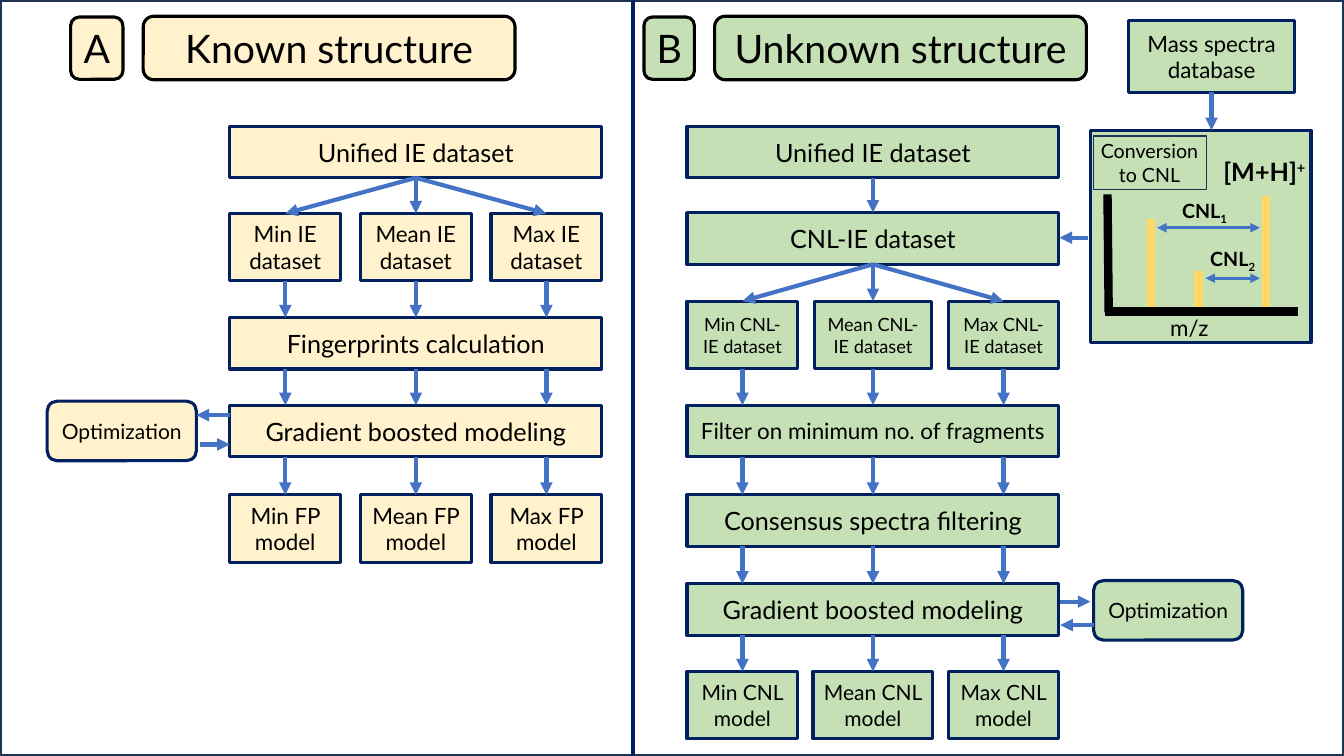
import pptx
import pptx.util
import pptx.dml.color
import pptx.enum.shapes
import pptx.enum.text
import pptx.oxml.ns
from lxml import etree

Cm, Pt = pptx.util.Cm, pptx.util.Pt
RGBColor = pptx.dml.color.RGBColor
RECTANGLE = pptx.enum.shapes.MSO_SHAPE.RECTANGLE
ROUNDED = pptx.enum.shapes.MSO_SHAPE.ROUNDED_RECTANGLE
STRAIGHT = pptx.enum.shapes.MSO_CONNECTOR.STRAIGHT
FONT = "Lato"
COLORS = {
    "white": "FFFFFF", "black": "000000", "navy": "002060", "frame": "1E3256",
    "cream": "FFF2CC", "green": "C5E0B4", "arrow": "4472C4", "peak": "FFD966",
}


def add_box(shapes, left, top, width, height, fill, text="", size=18,
            outline="navy", weight=2.25, kind=RECTANGLE):
    shape = shapes.add_shape(kind, Cm(left), Cm(top), Cm(width), Cm(height))
    shape.shadow.inherit = False
    if fill:
        shape.fill.solid()
        shape.fill.fore_color.rgb = RGBColor.from_string(COLORS[fill])
    else:
        shape.fill.background()
    shape.line.color.rgb = RGBColor.from_string(COLORS[outline])
    shape.line.width = Pt(weight)
    if text:
        frame = shape.text_frame
        frame.word_wrap = True
        frame.vertical_anchor = pptx.enum.text.MSO_ANCHOR.MIDDLE
        paragraph = frame.paragraphs[0]
        paragraph.text = text
        paragraph.alignment = pptx.enum.text.PP_ALIGN.CENTER
        paragraph.font.name = FONT
        paragraph.font.size = Pt(size)
        paragraph.font.color.rgb = RGBColor.from_string(COLORS["black"])


def add_line(shapes, x1, y1, x2, y2, color="arrow", weight=3, ends=("tailEnd",)):
    """Draw a line; ends names the arrowheads, headEnd before tailEnd."""
    line = shapes.add_connector(STRAIGHT, Cm(x1), Cm(y1), Cm(x2), Cm(y2))
    line.line.color.rgb = RGBColor.from_string(COLORS[color])
    line.line.width = Pt(weight)
    for end in ends:
        etree.SubElement(line.line._get_or_add_ln(), pptx.oxml.ns.qn("a:" + end), type="triangle")
    etree.SubElement(line._element.spPr, pptx.oxml.ns.qn("a:effectLst"))


presentation = pptx.Presentation()
presentation.slide_width = Cm(33.87)
presentation.slide_height = Cm(19.05)
slide = presentation.slides.add_slide(presentation.slide_layouts[6])
shapes = slide.shapes

add_box(shapes, 0, 0, 33.87, 19.05, "white", outline="frame", weight=3)
add_line(shapes, 15.95, 0, 15.95, 19.05, "navy", 3, ())

# Headings: left, top, width, height, fill, text
for left, top, width, height, fill, text in (
    (1.78, 0.43, 1.32, 1.57, "cream", "A"),
    (3.61, 0.41, 9.37, 1.6, "cream", "Known structure"),
    (16.23, 0.43, 1.27, 1.57, "green", "B"),
    (18.01, 0.41, 9.37, 1.6, "green", "Unknown structure"),
):
    add_box(shapes, left, top, width, height, fill, text, 28, "black", kind=ROUNDED)

# Flow rows: top, texts, font size, width of the middle box, arrows from the row above
WIDE, NARROW = 9.37, 2.79
WIDE_HEIGHT, NARROW_HEIGHT = 1.3, 1.7
PITCH = 3.29
ARROWS = {
    "none": (),
    "single": ((0, 0),),
    "fan": ((0, -1), (0, 0), (0, 1)),
    "parallel": ((-1, -1), (0, 0), (1, 1)),
}
FLOWS = (
    (10.48, "cream", (
        (3.18, ["Unified IE dataset"], 18, WIDE, "none"),
        (5.38, ["Min IE dataset", "Mean IE dataset", "Max IE dataset"], 16, NARROW, "fan"),
        (8, ["Fingerprints calculation"], 18, WIDE, "parallel"),
        (10.21, ["Gradient boosted modeling"], 18, WIDE, "parallel"),
        (12.47, ["Min FP model", "Mean FP model", "Max FP model"], 16, NARROW, "parallel"),
    )),
    (22, "green", (
        (3.18, ["Unified IE dataset"], 18, WIDE, "none"),
        (5.36, ["CNL-IE dataset"], 18, WIDE, "single"),
        (7.59, ["Min CNL-IE dataset", "Mean CNL-IE dataset", "Max CNL-IE dataset"],
         13, 2.95, "fan"),
        (10.21, ["Filter on minimum no. of fragments"], 16, WIDE, "parallel"),
        (12.47, ["Consensus spectra filtering"], 18, WIDE, "parallel"),
        (14.71, ["Gradient boosted modeling"], 18, WIDE, "parallel"),
        (16.92, ["Min CNL model", "Mean CNL model", "Max CNL model"], 15, 3.02, "parallel"),
    )),
)
for center, fill, rows in FLOWS:
    bottom = 0
    for top, texts, size, middle_width, arrows in rows:
        height = WIDE_HEIGHT if len(texts) == 1 else NARROW_HEIGHT
        for index, text in enumerate(texts):
            column = index - len(texts) // 2
            width = NARROW if column else middle_width
            add_box(shapes, center + column * PITCH - width / 2, top, width, height,
                    fill, text, size)
        for start, end in ARROWS[arrows]:
            add_line(shapes, center + start * PITCH, bottom, center + end * PITCH, top)
        bottom = top + height

# Side boxes and their arrows
add_box(shapes, 1.19, 10.11, 3.76, 1.5, "cream", "Optimization", 15, kind=ROUNDED)
add_box(shapes, 27.56, 14.63, 3.76, 1.5, "green", "Optimization", 15, kind=ROUNDED)
add_box(shapes, 28.45, 0.51, 4.17, 1.83, "green", "Mass spectra database", 16)
for x1, x2, y in ((5.79, 4.95, 10.46), (5.05, 5.79, 11.2), (27.43, 26.7, 5.99),
                  (27.56, 26.72, 15.75), (26.72, 27.48, 15.16)):
    add_line(shapes, x1, y, x2, y)

# Spectrum panel
spectrum = shapes.add_group_shape().shapes
add_box(spectrum, 27.48, 3.28, 5.56, 5.36, "green")
add_box(spectrum, 27.56, 3.43, 2.84, 1.35, None, outline="frame", weight=1)
add_line(spectrum, 27.91, 4.9, 27.94, 7.87, "black", 6, ())
for x, top, bottom in ((31.9, 4.93, 7.75), (30.2, 6.83, 7.82), (29.01, 5.51, 7.82)):
    add_line(spectrum, x, top, x, bottom, "peak", 6, ())
add_line(spectrum, 32.72, 7.85, 27.84, 7.85, "black", 6, ())
for left, y in ((29.16, 5.74), (30.38, 7.01)):
    add_line(spectrum, 31.75, y, left, y, weight=2.25, ends=("headEnd", "tailEnd"))

# Labels: left, top, width, height, text, script, baseline in 1/1000 %, size, bold, wrap
for left, top, width, height, text, script, baseline, size, bold, wrap in (
    (27.47, 3.38, 3, 1.45, "Conversion to CNL", "", 0, 14, False, True),
    (29.24, 7.8, 1.5, 0.94, "m/z", "", 0, 16, False, False),
    (29.54, 4.9, 1.68, 0.86, "CNL", "1", -25000, 14, True, False),
    (30.25, 6.1, 1.68, 0.86, "CNL", "2", -25000, 14, True, False),
    (30.58, 3.81, 2.64, 1.02, "[M+H]", "+", 30000, 18, True, False),
):
    label = spectrum.add_textbox(Cm(left), Cm(top), Cm(width), Cm(height))
    label.text_frame.word_wrap = wrap
    paragraph = label.text_frame.paragraphs[0]
    paragraph.text = text
    if script:
        run = paragraph.add_run()
        run.text = script
        run.font._element.set("baseline", str(baseline))
    if wrap:
        paragraph.alignment = pptx.enum.text.PP_ALIGN.CENTER
    paragraph.font.name = FONT
    paragraph.font.size = Pt(size)
    paragraph.font.bold = bold
    paragraph.font.color.rgb = RGBColor.from_string(COLORS["black"])

add_line(shapes, 30.53, 2.31, 30.53, 3.28)

presentation.save("out.pptx")
